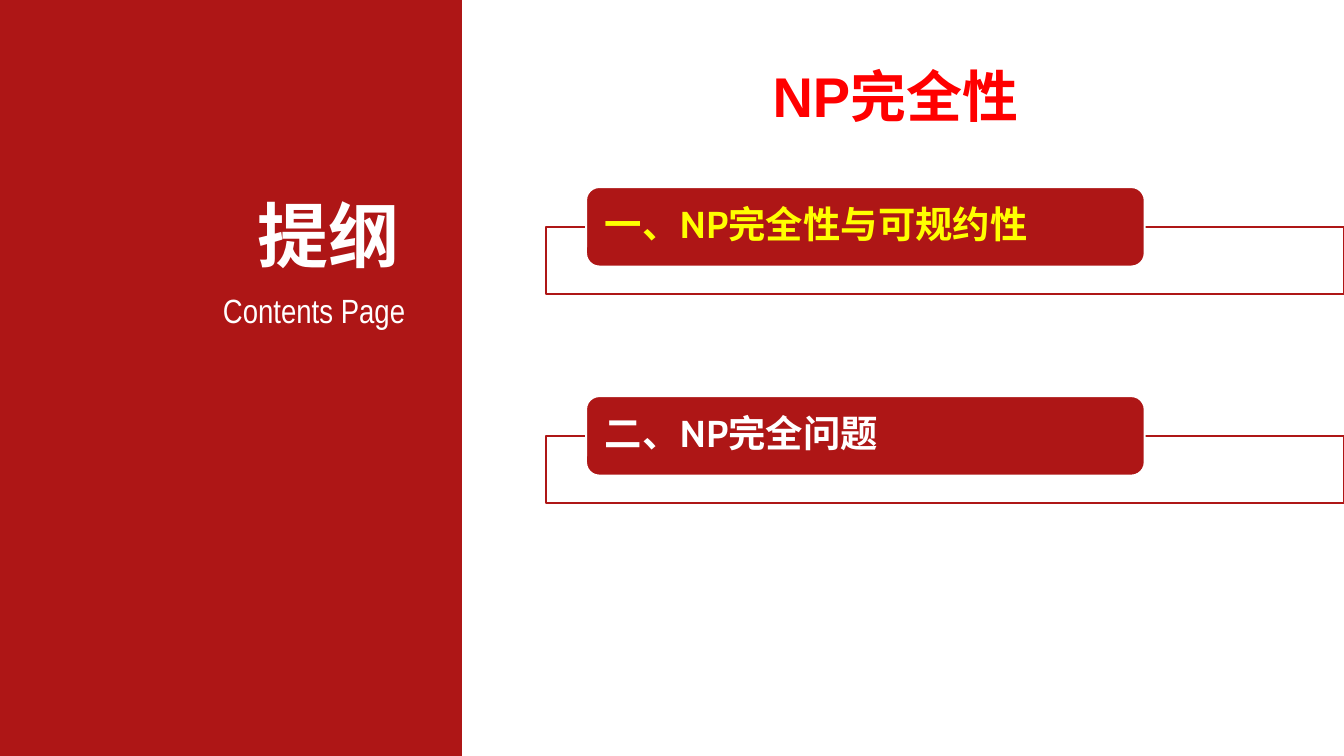
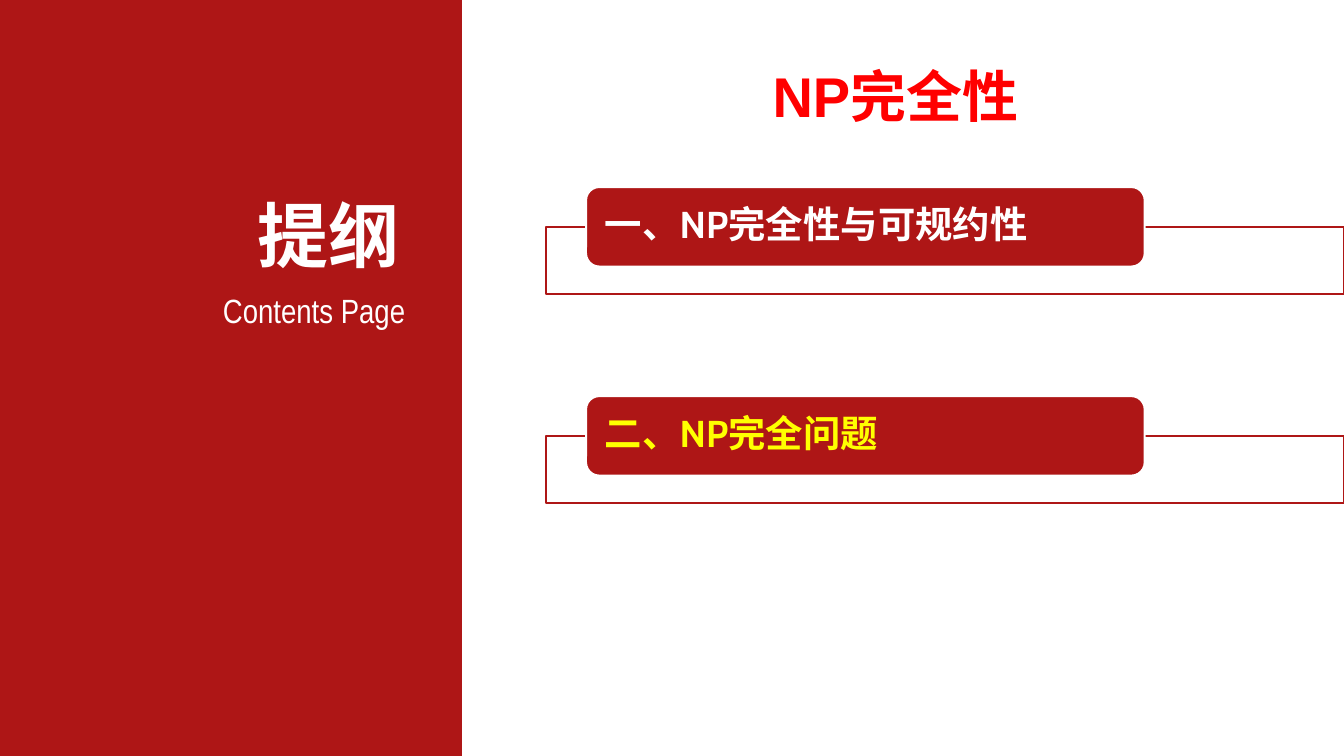
from lxml import etree
from pptx import Presentation
from pptx.dml.color import RGBColor
from pptx.enum import shapes, text
from pptx.oxml import ns
from pptx.util import Pt

TITLE = "NP完全性"
HEADING = "提纲"
SUBHEADING = "Contents Page"
SECTIONS = ["一、NP完全性与可规约性", "二、NP完全问题"]

RED = RGBColor(0xAE, 0x16, 0x16)
BRIGHT_RED = RGBColor(0xFF, 0x00, 0x00)
YELLOW = RGBColor(0xFF, 0xFF, 0x00)
WHITE = RGBColor(0xFF, 0xFF, 0xFF)

WIDTH, HEIGHT = 720, 405
BAND_WIDTH = 247.5
FRAME_LEFT, FRAME_TOP, FRAME_HEIGHT = 292.3, 121.5, 36
TAB_LEFT, TAB_WIDTH, TAB_HEIGHT = 314, 299.2, 42.5
TAB_RISE = 21.25
SECTION_STEP = 112
TAB_CORNER = 0.1667

SMALL_INSETS = (5.4, 2.7)
TITLE_INSETS = (7.2, 3.6)
TAB_INSETS = (8, 1.5)

RIGHT = text.PP_ALIGN.RIGHT
CENTER = text.PP_ALIGN.CENTER
LEFT = text.PP_ALIGN.LEFT


def add_block(page, kind, place, fill, line=None):
    block = page.shapes.add_shape(kind, *map(Pt, place))
    block.shadow.inherit = False
    block.fill.solid()
    block.fill.fore_color.rgb = fill
    if line is None:
        block.line.fill.background()
    else:
        block.line.color.rgb = line
        block.line.width = Pt(1)
    return block


def set_opacity(block, percent):
    color = block.fill._xPr.find(ns.qn("a:solidFill"))[0]
    etree.SubElement(color, ns.qn("a:alpha"), val=str(percent * 1000))


def write(box, words, font, size, color, align, insets, bold=True, spacing=1.0, middle=False):
    frame = box.text_frame
    frame.word_wrap = True
    frame.margin_left = frame.margin_right = Pt(insets[0])
    frame.margin_top = frame.margin_bottom = Pt(insets[1])
    frame.vertical_anchor = text.MSO_ANCHOR.MIDDLE if middle else text.MSO_ANCHOR.TOP
    para = frame.paragraphs[0]
    para.alignment = align
    para.line_spacing = spacing
    span = para.add_run()
    span.text = words
    span.font.name = font
    span.font.size = Pt(size)
    span.font.bold = bold
    span.font.color.rgb = color


def add_label(page, place, *args, **style):
    box = page.shapes.add_textbox(*map(Pt, place))
    write(box, *args, **style)
    return box


def add_section(page, index, words, color):
    top = FRAME_TOP + index * SECTION_STEP
    frame = add_block(page, shapes.MSO_SHAPE.RECTANGLE,
                      (FRAME_LEFT, top, WIDTH - FRAME_LEFT, FRAME_HEIGHT), WHITE, RED)
    set_opacity(frame, 90)
    tab = add_block(page, shapes.MSO_SHAPE.ROUNDED_RECTANGLE,
                    (TAB_LEFT, top - TAB_RISE, TAB_WIDTH, TAB_HEIGHT), RED, WHITE)
    tab.adjustments[0] = TAB_CORNER
    write(tab, words, "Cabin", 20, color, LEFT, TAB_INSETS, spacing=0.9, middle=True)


def add_outline_page(deck, current):
    page = deck.slides.add_slide(deck.slide_layouts[6])
    add_block(page, shapes.MSO_SHAPE.RECTANGLE, (0, 0, BAND_WIDTH, HEIGHT), RED)
    subheading = add_label(page, (24.5, 152.6, 198, 27.4), SUBHEADING, "Arial Narrow", 18,
                           WHITE, RIGHT, SMALL_INSETS, bold=False)
    heading = add_label(page, (79.2, 100, 140.4, 52), HEADING, "Arial", 38,
                        WHITE, RIGHT, SMALL_INSETS)
    for box in (subheading, heading):
        box.text_frame.auto_size = text.MSO_AUTO_SIZE.SHAPE_TO_FIT_TEXT
    add_label(page, (BAND_WIDTH, -1.4, 464.4, 87), TITLE, "Arial", 30,
              BRIGHT_RED, CENTER, TITLE_INSETS, spacing=1.5, middle=True)
    for index, words in enumerate(SECTIONS):
        add_section(page, index, words, YELLOW if index == current else WHITE)


def main():
    deck = Presentation()
    deck.slide_width, deck.slide_height = Pt(WIDTH), Pt(HEIGHT)
    for current in range(len(SECTIONS)):
        add_outline_page(deck, current)
    deck.save("out.pptx")


if __name__ == "__main__":
    main()
